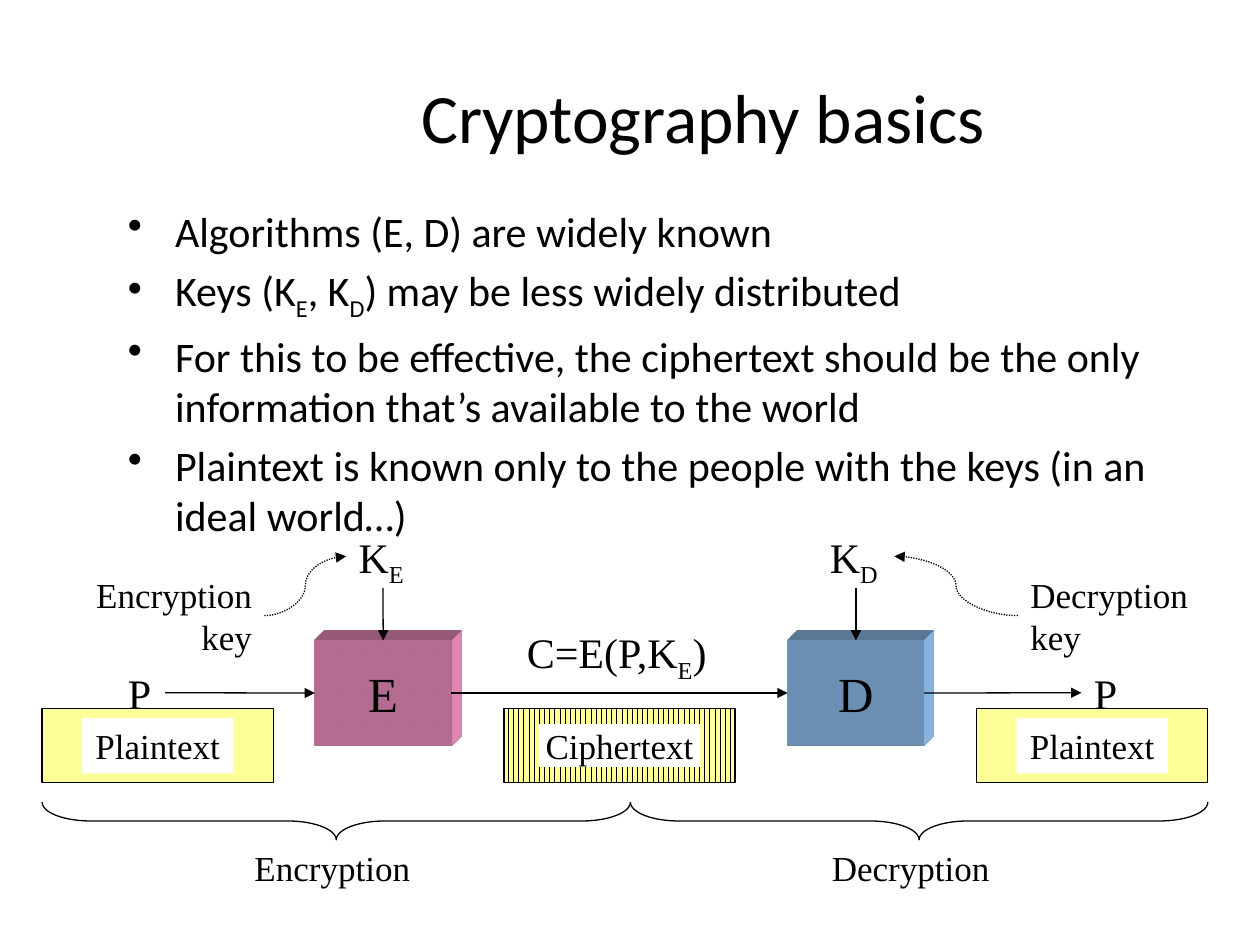
from lxml import etree
from pptx import Presentation
from pptx.dml.color import RGBColor
from pptx.enum.dml import MSO_LINE, MSO_PATTERN
from pptx.enum.shapes import MSO_CONNECTOR as Link, MSO_SHAPE as Preset
from pptx.enum.text import MSO_ANCHOR as Anchor, PP_ALIGN as Align
from pptx.oxml import parse_xml
from pptx.oxml.ns import nsdecls, qn
from pptx.util import Cm, Pt

SERIF = "Times New Roman"
TOP, LEFT, BOTTOM, RIGHT = range(4)


def color(hex_string):
    return RGBColor.from_string(hex_string)


def place(box):
    return [Cm(length) for length in box]


def write(holder, *paragraphs, size=20, font=SERIF, align=Align.LEFT, anchor=Anchor.TOP,
          wrap=False, bullet=False, insets=(0.25, 0.13)):
    frame = holder.text_frame
    frame.word_wrap = wrap
    frame.vertical_anchor = anchor
    frame.margin_left = frame.margin_right = Cm(insets[0])
    frame.margin_top = frame.margin_bottom = Cm(insets[1])
    for number, text in enumerate(paragraphs):
        paragraph = frame.add_paragraph() if number else frame.paragraphs[0]
        paragraph.alignment = align
        if bullet:
            paragraph.space_before = Pt(size * 0.2)
            props = paragraph.font._element.getparent()
            props.set("marL", str(Cm(0.95)))
            props.set("indent", str(-Cm(0.95)))
            mark = etree.Element(qn("a:buChar"), char="•")
            props.find(qn("a:spcBef")).addnext(mark)
        for row, line in enumerate(text.split("\n")):
            if row:
                paragraph.add_line_break()
            for part, piece in enumerate(line.split("~")):
                if not piece:
                    continue
                run = paragraph.add_run()
                run.text = piece
                run.font.size, run.font.name = Pt(size), font
                run.font.color.rgb = color("000000")
                if part % 2:
                    run.font._element.set("baseline", "-25000")
    return holder


def add_label(slide, box, text, **formatting):
    return write(slide.shapes.add_textbox(*place(box)), text, **formatting)


def add_block(shapes, box, fill=None, outline=None, preset=Preset.RECTANGLE):
    block = shapes.add_shape(preset, *place(box))
    block.shadow.inherit = False
    if fill:
        block.fill.solid()
        block.fill.fore_color.rgb = color(fill)
    else:
        block.fill.background()
    if outline:
        block.line.color.rgb = color(outline)
        block.line.width = Pt(0.75)
    else:
        block.line.fill.background()
    return block


def add_arrow(slide, source, source_side, target, target_side, curved=False):
    kind = Link.CURVE if curved else Link.STRAIGHT
    arrow = slide.shapes.add_connector(kind, 0, 0, 0, 0)
    arrow.begin_connect(source, source_side)
    arrow.end_connect(target, target_side)
    arrow.line.color.rgb = color("000000")
    arrow.line.width = Pt(0.75)
    if curved:
        arrow.line.dash_style = MSO_LINE.ROUND_DOT
    etree.SubElement(arrow.line._get_or_add_ln(), qn("a:tailEnd"), type="triangle")
    etree.SubElement(arrow._element.spPr, qn("a:effectLst"))


def add_title(slide, box):
    title = slide.shapes.title
    title.left, title.top, title.width, title.height = place(box)
    write(title, "Cryptography basics", size=39.6, font="Calibri",
          align=Align.CENTER, anchor=Anchor.MIDDLE, wrap=True)


def add_bullets(slide, box):
    write(slide.shapes.add_textbox(*place(box)),
          "Algorithms (E, D) are widely known",
          "Keys (K~E~, K~D~) may be less widely distributed",
          "For this to be effective, the ciphertext should be the only "
          "information that’s available to the world",
          "Plaintext is known only to the people with the keys (in an ideal world…)",
          size=24, font="Calibri", wrap=True, bullet=True)


def add_machine(slide, box, name, fill):
    machine = add_block(slide.shapes, box, fill)
    write(machine, name, size=28, align=Align.CENTER, anchor=Anchor.MIDDLE)
    props = machine._element.spPr
    props.append(parse_xml(
        f'<a:scene3d {nsdecls("a")}><a:camera prst="legacyObliqueTopRight"/>'
        '<a:lightRig rig="legacyFlat3" dir="b"/></a:scene3d>'))
    props.append(parse_xml(
        f'<a:sp3d {nsdecls("a")} extrusionH="201600" prstMaterial="legacyMatte">'
        f'<a:extrusionClr><a:srgbClr val="{fill}"/></a:extrusionClr></a:sp3d>'))
    return machine


def add_key(slide, box, symbol, machine):
    key = add_label(slide, box, symbol, size=24)
    add_arrow(slide, key, BOTTOM, machine, TOP)
    return key


def add_data_bar(slide, box, text, label_size, insets=(0.25, 0.13), striped=False):
    left, top, width, height = box
    label_width, label_height = label_size
    group = slide.shapes.add_group_shape()
    bar = add_block(group.shapes, box, "FFFF99", "000000")
    if striped:
        bar.fill.patterned()
        bar.fill.pattern = MSO_PATTERN.DARK_VERTICAL
        bar.fill.fore_color.rgb = color("FFFF99")
        bar.fill.back_color.rgb = color("000000")
    label_box = (left + (width - label_width) / 2, top + (height - label_height) / 2,
                 label_width, label_height)
    write(add_block(group.shapes, label_box, "FFFFFF"), text,
          align=Align.CENTER, insets=insets)


def add_phase(slide, box, text, label_offset):
    left, top, width, height = box
    upright = (left + (width - height) / 2, top + (height - width) / 2, height, width)
    brace = add_block(slide.shapes, upright, outline="000000", preset=Preset.LEFT_BRACE)
    brace.rotation = 270
    brace.adjustments[0], brace.adjustments[1] = 1.29, 0.5
    add_label(slide, (left + label_offset, top + height, 3.7, 1.12), text)


def add_diagram(slide, box):
    x, y, width, height = box
    encrypter = add_machine(slide, (x + 5.5, y + 2.33, 2.75, 2.12), "E", "FF99CC")
    decrypter = add_machine(slide, (x + 15.03, y + 2.33, 2.75, 2.12), "D", "99CCFF")
    add_arrow(slide, encrypter, RIGHT, decrypter, LEFT)
    add_label(slide, (x + 9.52, y + 1.92, 4.21, 1.27), "C=E(P,K~E~)", size=24)

    plain_in, plain_out = [add_label(slide, (x + offset, y + 2.75, 1, 1.27), "P", size=24)
                           for offset in (1.48, 20.95)]
    add_arrow(slide, plain_in, RIGHT, encrypter, LEFT)
    add_arrow(slide, decrypter, RIGHT, plain_out, LEFT)

    encryption_key = add_key(slide, (x + 6.13, y, 1.48, 1.27), "K~E~", encrypter)
    decryption_key = add_key(slide, (x + 15.63, y, 1.55, 1.27), "K~D~", decrypter)
    encryption_note = add_label(slide, (x + 0.8, y + 0.85, 3.68, 1.96),
                                "Encryption\nkey", align=Align.RIGHT)
    decryption_note = add_label(slide, (x + 19.67, y + 0.85, 3.71, 1.96), "Decryption\nkey")
    add_arrow(slide, encryption_note, RIGHT, encryption_key, LEFT, curved=True)
    add_arrow(slide, decryption_note, LEFT, decryption_key, RIGHT, curved=True)

    bar_width = 4.66
    for bar_left in (x, x + width - bar_width):
        add_data_bar(slide, (bar_left, y + 3.71, bar_width, 1.48), "Plaintext", (3.05, 1.12))
    add_data_bar(slide, (x + 9.31, y + 3.71, bar_width, 1.48), "Ciphertext", (3.25, 0.86),
                 insets=(0.13, 0), striped=True)

    split = 11.86
    add_phase(slide, (x, y + 5.59, split, 0.76), "Encryption", 4.03)
    add_phase(slide, (x + split, y + 5.59, width - split, 0.76), "Decryption", 3.81)


def main():
    deck = Presentation()
    deck.slide_width, deck.slide_height = Cm(25.4), Cm(19.05)
    slide = deck.slides.add_slide(deck.slide_layouts[5])
    add_title(slide, (3.38, 1.48, 21.59, 1.69))
    add_bullets(slide, (2.33, 4.02, 22.55, 6.65))
    add_diagram(slide, (0.85, 10.58, 23.5, 7.47))
    deck.save("out.pptx")


if __name__ == "__main__":
    main()
